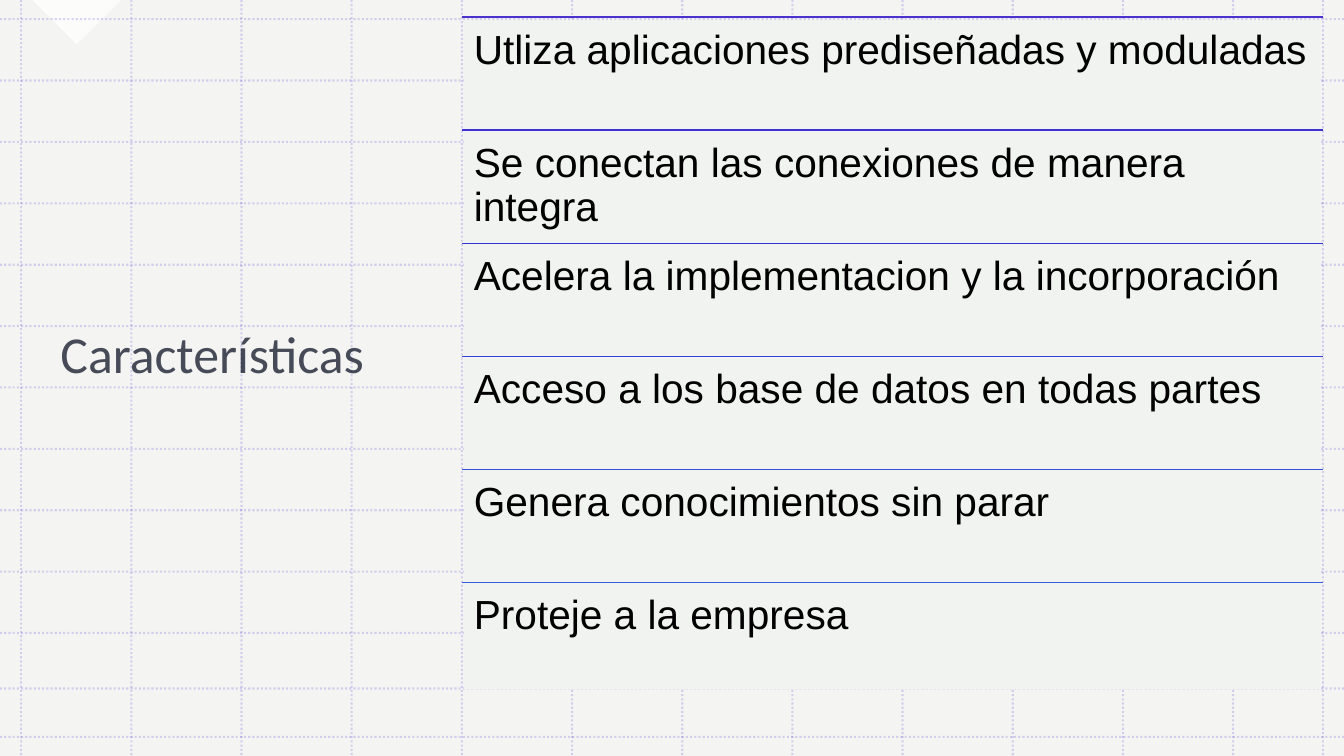
from dataclasses import dataclass

from lxml import etree
from pptx import Presentation
from pptx.dml.color import RGBColor
from pptx.enum.dml import MSO_LINE
from pptx.enum.shapes import MSO_CONNECTOR, MSO_SHAPE
from pptx.enum.text import MSO_ANCHOR, PP_ALIGN
from pptx.oxml.ns import qn
from pptx.util import Inches, Pt

STRAIGHT = MSO_CONNECTOR.STRAIGHT
RECTANGLE, RIGHT_TRIANGLE = MSO_SHAPE.RECTANGLE, MSO_SHAPE.RIGHT_TRIANGLE
DOTTED = MSO_LINE.ROUND_DOT
TOP, MIDDLE = MSO_ANCHOR.TOP, MSO_ANCHOR.MIDDLE
LEFT = PP_ALIGN.LEFT


@dataclass(frozen=True)
class Theme:
    background: str = "F4F5F3"
    panel: str = "F1F3F0"
    corner: str = "FFFFFF"
    grid: str = "4B31CE"
    title: str = "1B2131"
    body: str = "000000"
    title_font: str = "Calibri"
    body_font: str = "Arial"
    title_size: int = 37
    body_size: int = 29


def set_opacity(element, percent):
    for color in element.iter(qn("a:srgbClr")):
        etree.SubElement(color, qn("a:alpha"), val=str(percent * 1000))


def write_text(frame, text, *, font, size, color, anchor=TOP, margin=0.12):
    frame.word_wrap = True
    frame.vertical_anchor = anchor
    frame.margin_left = frame.margin_right = Inches(margin)
    frame.margin_top = frame.margin_bottom = Inches(margin)
    frame.text = text
    paragraph = frame.paragraphs[0]
    paragraph.alignment = LEFT
    paragraph.line_spacing = 0.9
    run_font = paragraph.runs[0].font
    run_font.name = font
    run_font.size = Pt(size)
    run_font.color.rgb = RGBColor.from_string(color)


class SlideBuilder:
    def __init__(self, slide, theme):
        self.slide = slide
        self.theme = theme
        fill = slide.background.fill
        fill.solid()
        fill.fore_color.rgb = RGBColor.from_string(theme.background)

    def line(self, x1, y1, x2, y2, color, width=1, dash=None, opacity=None):
        line = self.slide.shapes.add_connector(
            STRAIGHT, Inches(x1), Inches(y1), Inches(x2), Inches(y2))
        line.line.color.rgb = RGBColor.from_string(color)
        line.line.width = Pt(width)
        if dash is not None:
            line.line.dash_style = dash
        properties = line.element.spPr
        if opacity is not None:
            set_opacity(properties, opacity)
        etree.SubElement(properties, qn("a:effectLst"))

    def shape(self, kind, left, top, width, height, color, rotation=0, opacity=None):
        shape = self.slide.shapes.add_shape(
            kind, Inches(left), Inches(top), Inches(width), Inches(height))
        shape.shadow.inherit = False
        shape.fill.solid()
        shape.fill.fore_color.rgb = RGBColor.from_string(color)
        shape.line.fill.background()
        shape.rotation = rotation
        if opacity is not None:
            set_opacity(shape.element.spPr, opacity)

    def title(self, text, left, top, width, height):
        title = self.slide.shapes.title
        title.left, title.top = Inches(left), Inches(top)
        title.width, title.height = Inches(width), Inches(height)
        theme = self.theme
        write_text(title.text_frame, text, font=theme.title_font,
                   size=theme.title_size, color=theme.title, anchor=MIDDLE, margin=0.1)
        # Lift the heading slightly above the middle of its box
        title.text_frame.margin_bottom = Inches(0.66)
        set_opacity(title.element, 80)
        # Bring the heading in front of the grid
        title.element.getparent().append(title.element)

    def text(self, text, left, top, width, height):
        box = self.slide.shapes.add_textbox(
            Inches(left), Inches(top), Inches(width), Inches(height))
        theme = self.theme
        write_text(box.text_frame, text, font=theme.body_font,
                   size=theme.body_size, color=theme.body)


def main():
    presentation = Presentation()
    presentation.slide_width = Inches(13.33)
    presentation.slide_height = Inches(7.5)
    theme = Theme()
    slide = presentation.slides.add_slide(presentation.slide_layouts[5])
    builder = SlideBuilder(slide, theme)

    # Corner marker
    builder.shape(RIGHT_TRIANGLE, 0.45, -0.31, 0.62, 0.62, theme.corner,
                  rotation=315, opacity=75)

    # Dotted grid
    columns = [0.21 + i * (12.23 - 0.21) / 11 for i in range(12)] + [13.12]
    rows = [0.19 + i * (6.28 - 0.19) / 10 for i in range(11)] + [6.83, 7.31]
    grid_lines = [(x, 0, x, 7.5) for x in columns] + [(0, y, 13.33, y) for y in rows]
    for ends in grid_lines:
        builder.line(*ends, theme.grid, width=1.5, dash=DOTTED, opacity=20)

    # Heading
    builder.title("Características", 0.5, 0.79, 4.07, 6.05)

    # List of features, each under its own rule
    builder.shape(RECTANGLE, 4.6, 0.21, 8.49, 6.63, theme.panel)
    features = [
        ("Utliza aplicaciones prediseñadas y moduladas", "4B31CE"),
        ("Se conectan las conexiones de manera integra", "3F31D1"),
        ("Acelera la implementacion y la incorporación", "3232D4"),
        ("Acceso a los base de datos en todas partes", "3340D7"),
        ("Genera conocimientos sin parar", "334FD9"),
        ("Proteje a la empresa", "345EDC"),
    ]
    list_left, list_top, list_width = 4.58, 0.17, 8.54
    row_height = 6.73 / len(features)
    for index, (feature, rule_color) in enumerate(features):
        top = list_top + index * row_height
        builder.line(list_left, top, list_left + list_width, top, rule_color)
        builder.text(feature, list_left, top, list_width, row_height)

    presentation.save("out.pptx")


if __name__ == "__main__":
    main()
